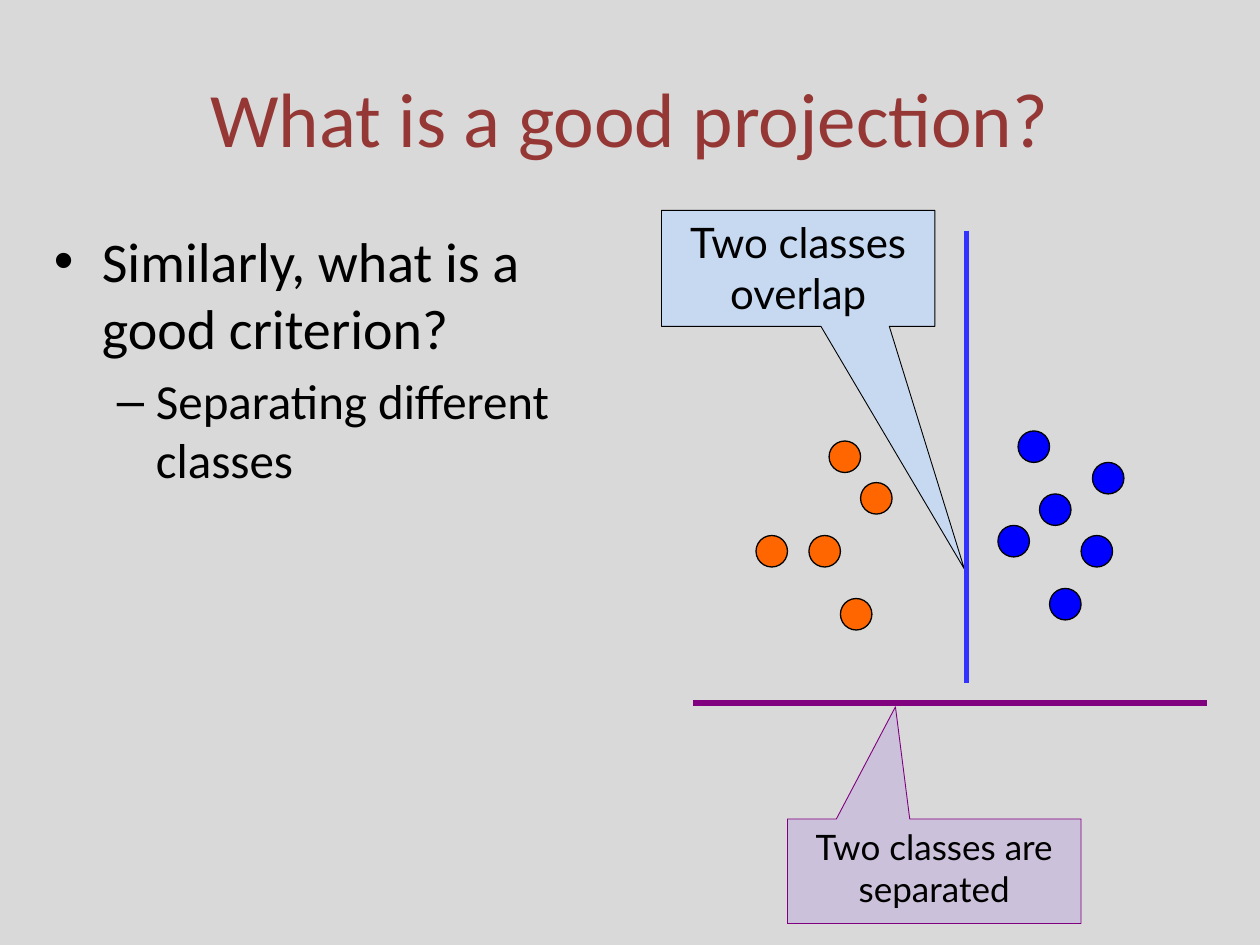
from dataclasses import dataclass

from lxml import etree
from pptx import Presentation
from pptx.dml.color import RGBColor
from pptx.enum.shapes import MSO_CONNECTOR, MSO_SHAPE
from pptx.enum.text import MSO_ANCHOR, PP_ALIGN
from pptx.oxml.ns import qn
from pptx.util import Inches, Pt

CENTER = PP_ALIGN.CENTER
LEFT = PP_ALIGN.LEFT
TOP = MSO_ANCHOR.TOP
MIDDLE = MSO_ANCHOR.MIDDLE
OVAL = MSO_SHAPE.OVAL
CALLOUT = MSO_SHAPE.RECTANGULAR_CALLOUT
STRAIGHT = MSO_CONNECTOR.STRAIGHT


@dataclass(frozen=True)
class Theme:
    """Colours, fonts and type sizes of the slide."""
    background: str = "D9D9D9"
    heading: str = "953735"
    ink: str = "000000"
    orange_class: str = "FF6600"
    blue_class: str = "0000FF"
    overlap_axis: str = "3333FF"
    overlap_fill: str = "C6D9F1"
    separated_axis: str = "800080"
    separated_fill: str = "CCC1DA"
    main_font: str = "Calibri"
    note_font: str = "Lato"
    title_size: int = 44
    bullet_size: int = 32
    sub_bullet_size: int = 28
    overlap_size: int = 24
    separated_size: int = 20


THEME = Theme()
DOT_SIZE = 0.25
ORANGE_DOTS = [(0.75, 2.58), (1.17, 2.58), (1.42, 3.08), (1.58, 2.16), (1.33, 1.83)]
BLUE_DOTS = [(2.83, 1.75), (3, 2.25), (2.67, 2.5), (3.42, 2), (3.08, 3), (3.33, 2.58)]


def rgb(value):
    """Turn a hex string into a colour."""
    return RGBColor.from_string(value)


def write(paragraph, text, size, font, color, align=LEFT):
    """Set the wording and type of one paragraph."""
    paragraph.text = text
    paragraph.alignment = align
    paragraph.font.size = Pt(size)
    paragraph.font.name = font
    paragraph.font.color.rgb = rgb(color)


def add_frame(slide, box, anchor):
    """Add a wrapping text box and return its text frame."""
    frame = slide.shapes.add_textbox(*map(Inches, box)).text_frame
    frame.word_wrap = True
    frame.vertical_anchor = anchor
    return frame


def add_title(slide, box):
    """Place the centred heading."""
    frame = add_frame(slide, box, MIDDLE)
    write(frame.paragraphs[0], "What is a good projection?",
          THEME.title_size, THEME.main_font, THEME.heading, CENTER)


def add_bullets(slide, box):
    """Place the question and its answer as a two-level list."""
    frame = add_frame(slide, box, TOP)
    points = [
        ("Similarly, what is a good criterion?", THEME.bullet_size, "•", 0.38, 0.38),
        ("Separating different classes", THEME.sub_bullet_size, "–", 0.81, 0.31),
    ]
    for level, (text, size, mark, margin, hanging) in enumerate(points):
        paragraph = frame.add_paragraph() if level else frame.paragraphs[0]
        write(paragraph, text, size, THEME.main_font, THEME.ink)
        paragraph.level = level
        paragraph.space_before = Pt(0.2 * size)
        properties = paragraph._p.get_or_add_pPr()
        properties.set("marL", str(Inches(margin)))
        properties.set("indent", str(-Inches(hanging)))
        etree.SubElement(properties, qn("a:buFont")).set("typeface", "Arial")
        etree.SubElement(properties, qn("a:buChar")).set("char", mark)


def add_filled(slide, kind, box, fill, line, width):
    """Add an outlined shape without a shadow."""
    shape = slide.shapes.add_shape(kind, *map(Inches, box))
    shape.shadow.inherit = False
    shape.fill.solid()
    shape.fill.fore_color.rgb = rgb(fill)
    shape.line.color.rgb = rgb(line)
    shape.line.width = Pt(width)
    return shape


def add_callout(slide, box, pointer, text, size, fill, line):
    """Add a callout whose tip is offset from its centre by the pointer."""
    callout = add_filled(slide, CALLOUT, box, fill, line, 0.5)
    callout.adjustments[0], callout.adjustments[1] = pointer
    frame = callout.text_frame
    frame.word_wrap = True
    frame.vertical_anchor = TOP
    write(frame.paragraphs[0], text, size, THEME.note_font, THEME.ink, CENTER)


def add_axis(slide, start, end, color):
    """Add a thick projection axis."""
    axis = slide.shapes.add_connector(STRAIGHT, *map(Inches, (*start, *end)))
    axis.line.color.rgb = rgb(color)
    axis.line.width = Pt(3)
    etree.SubElement(axis._element.spPr, qn("a:effectLst"))


def add_projection_plot(slide, left, top):
    """Place the two classes, both projection axes and their callouts."""
    for dots, fill in ((ORANGE_DOTS, THEME.orange_class), (BLUE_DOTS, THEME.blue_class)):
        for x, y in dots:
            add_filled(slide, OVAL, (left + x, top + y, DOT_SIZE, DOT_SIZE),
                       fill, THEME.ink, 0.75)
    add_callout(slide, (left, top, 2.17, 0.92), (0.608, 2.594), "Two classes overlap",
                THEME.overlap_size, THEME.overlap_fill, THEME.ink)
    add_axis(slide, (left + 2.42, top + 0.16), (left + 2.42, top + 3.75), THEME.overlap_axis)
    add_callout(slide, (left + 1, top + 4.83, 2.33, 0.83), (-0.132, -1.573),
                "Two classes are separated", THEME.separated_size,
                THEME.separated_fill, THEME.separated_axis)
    add_axis(slide, (left + 0.25, top + 3.91), (left + 4.33, top + 3.91), THEME.separated_axis)


def main():
    """Build and save the slide."""
    deck = Presentation()
    deck.slide_width, deck.slide_height = Inches(10), Inches(7.5)
    slide = deck.slides.add_slide(deck.slide_layouts[6])
    slide.background.fill.solid()
    slide.background.fill.fore_color.rgb = rgb(THEME.background)
    add_title(slide, (0.5, 0.3, 9, 1.25))
    add_bullets(slide, (0.33, 1.75, 4.83, 4.95))
    add_projection_plot(slide, 5.25, 1.67)
    deck.save("out.pptx")


main()
